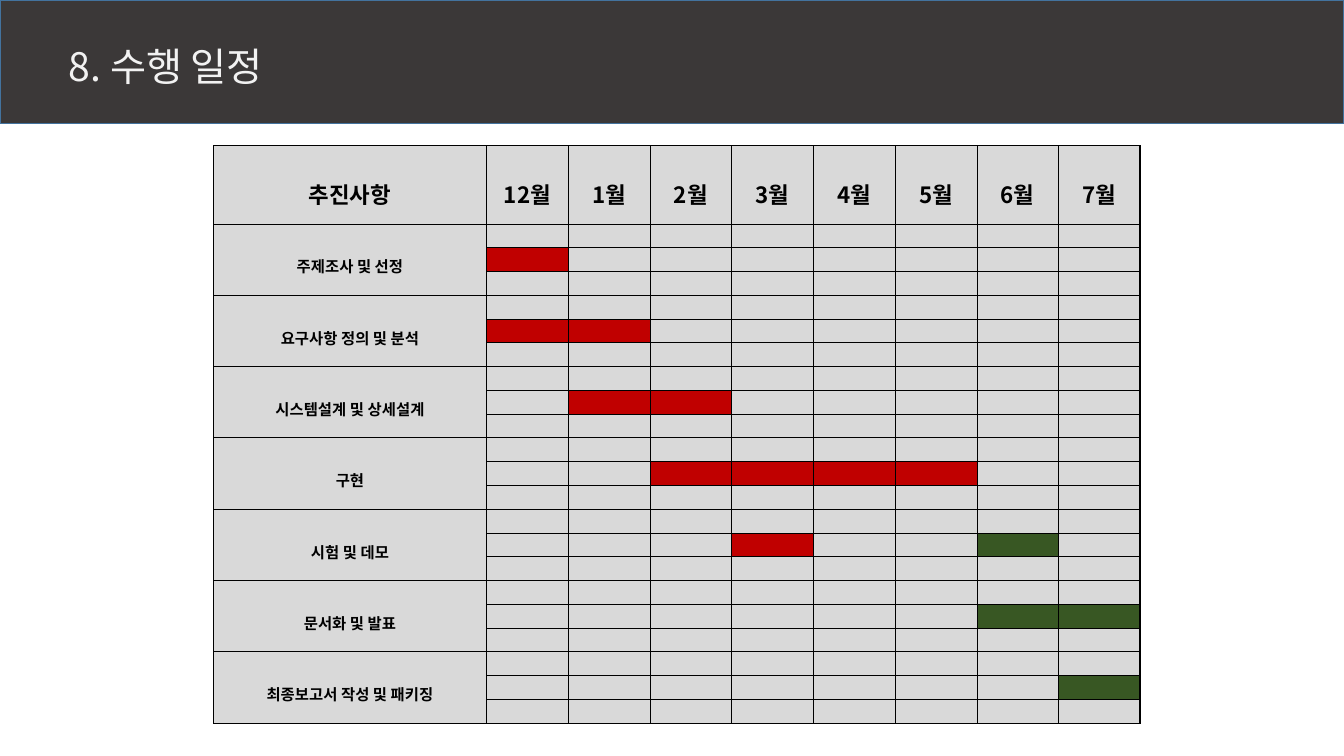
from dataclasses import dataclass

from lxml.etree import SubElement
from pptx import Presentation
from pptx.dml.color import RGBColor as Rgb
from pptx.enum.shapes import MSO_SHAPE as Shape
from pptx.enum.text import MSO_ANCHOR as Anchor, PP_ALIGN as Align
from pptx.oxml.ns import qn
from pptx.util import Pt


@dataclass(frozen=True)
class Theme:
    font: str = "Noto Sans CJK KR"
    banner: str = "3B3838"
    banner_edge: str = "43739E"
    title: str = "F2F2F2"
    ink: str = "000000"
    idle: str = "D9D9D9"
    done: str = "C00000"
    planned: str = "385723"
    title_size: float = 28
    month_size: float = 16
    task_size: float = 11
    empty_size: float = 6
    grid_line: float = 0.28
    edge_line: float = 1.7


THEME = Theme()
MONTHS = ["12월", "1월", "2월", "3월", "4월", "5월", "6월", "7월"]
DONE, PLANNED = THEME.done, THEME.planned
TASKS = [
    ("주제조사 및 선정", {"12월": DONE}),
    ("요구사항 정의 및 분석", {"12월": DONE, "1월": DONE}),
    ("시스템설계 및 상세설계", {"1월": DONE, "2월": DONE}),
    ("구현", {"2월": DONE, "3월": DONE, "4월": DONE, "5월": DONE}),
    ("시험 및 데모", {"3월": DONE, "6월": PLANNED}),
    ("문서화 및 발표", {"6월": PLANNED, "7월": PLANNED}),
    ("최종보고서 작성 및 패키징", {"7월": PLANNED}),
]
ROWS_PER_TASK = 3


def add_run(paragraph, text, size, color, bold=False):
    run = paragraph.add_run()
    run.text = text
    run.font.size = Pt(size)
    run.font.bold = bold
    run.font.name = THEME.font
    run.font.color.rgb = Rgb.from_string(color)
    SubElement(run.font._element, qn("a:ea"), typeface=THEME.font)


def add_banner(slide, left, top, width, height):
    banner = slide.shapes.add_shape(
        Shape.RECTANGLE, Pt(left), Pt(top), Pt(width), Pt(height))
    banner.shadow.inherit = False
    banner.fill.solid()
    banner.fill.fore_color.rgb = Rgb.from_string(THEME.banner)
    banner.line.color.rgb = Rgb.from_string(THEME.banner_edge)
    banner.line.width = Pt(1)

    title = slide.shapes.add_textbox(
        Pt(left + 42), Pt(top + 22.5), Pt(454), Pt(45)).text_frame
    title.word_wrap = True
    title.vertical_anchor = Anchor.BOTTOM
    heading = title.paragraphs[0]
    heading.line_spacing = 0.9
    add_run(heading, "8. 수행 일정", THEME.title_size, THEME.title)


def style_cell(cell, fill, right_line):
    cell.margin_left = cell.margin_right = Pt(1.5)
    cell.margin_top = cell.margin_bottom = Pt(1.5)
    cell.vertical_anchor = Anchor.MIDDLE
    properties = cell._tc.get_or_add_tcPr()
    for side in "LRTB":
        weight = right_line if side == "R" else THEME.grid_line
        border = SubElement(properties, qn(f"a:ln{side}"), w=str(Pt(weight)))
        paint = SubElement(border, qn("a:solidFill"))
        SubElement(paint, qn("a:srgbClr"), val=THEME.ink)
    cell.fill.solid()
    cell.fill.fore_color.rgb = Rgb.from_string(fill)


def write_label(cell, text, size):
    label = cell.text_frame.paragraphs[0]
    label.alignment = Align.CENTER
    label.line_spacing = 1.6
    add_run(label, text, size, THEME.ink, bold=True)


def add_schedule(slide, left, top, width, height):
    row_count = 1 + ROWS_PER_TASK * len(TASKS)
    schedule = slide.shapes.add_table(
        row_count, 1 + len(MONTHS), Pt(left), Pt(top), Pt(width), Pt(height)).table
    schedule.first_row = schedule.horz_banding = False

    task_width, header_height = 195, 56
    month_width = (width - task_width) / len(MONTHS)
    row_height = (height - header_height) / (row_count - 1)
    for index, column in enumerate(schedule.columns):
        column.width = Pt(month_width if index else task_width)
    for index, row in enumerate(schedule.rows):
        row.height = Pt(row_height if index else header_height)
        for position, cell in enumerate(row.cells):
            at_edge = position == len(MONTHS)
            style_cell(cell, THEME.idle,
                       THEME.edge_line if at_edge else THEME.grid_line)
            if index and (position or index % ROWS_PER_TASK != 1):
                SubElement(cell.text_frame.paragraphs[0]._p, qn("a:endParaRPr"),
                           sz=str(int(THEME.empty_size * 100)))

    for position, heading in enumerate(["추진사항", *MONTHS]):
        write_label(schedule.cell(0, position), heading, THEME.month_size)

    for number, (task, active_months) in enumerate(TASKS):
        first = 1 + number * ROWS_PER_TASK
        task_cell = schedule.cell(first, 0)
        task_cell.merge(schedule.cell(first + ROWS_PER_TASK - 1, 0))
        write_label(task_cell, task, THEME.task_size)
        for month, color in active_months.items():
            bar = schedule.cell(first + 1, 1 + MONTHS.index(month))
            bar.fill.fore_color.rgb = Rgb.from_string(color)


def main():
    deck = Presentation()
    deck.slide_width, deck.slide_height = Pt(960), Pt(540)
    slide = deck.slides.add_slide(deck.slide_layouts[6])
    add_banner(slide, 0, 0, 960, 88.3)
    add_schedule(slide, 152.5, 103.8, 662, 413)
    deck.save("out.pptx")


if __name__ == "__main__":
    main()
